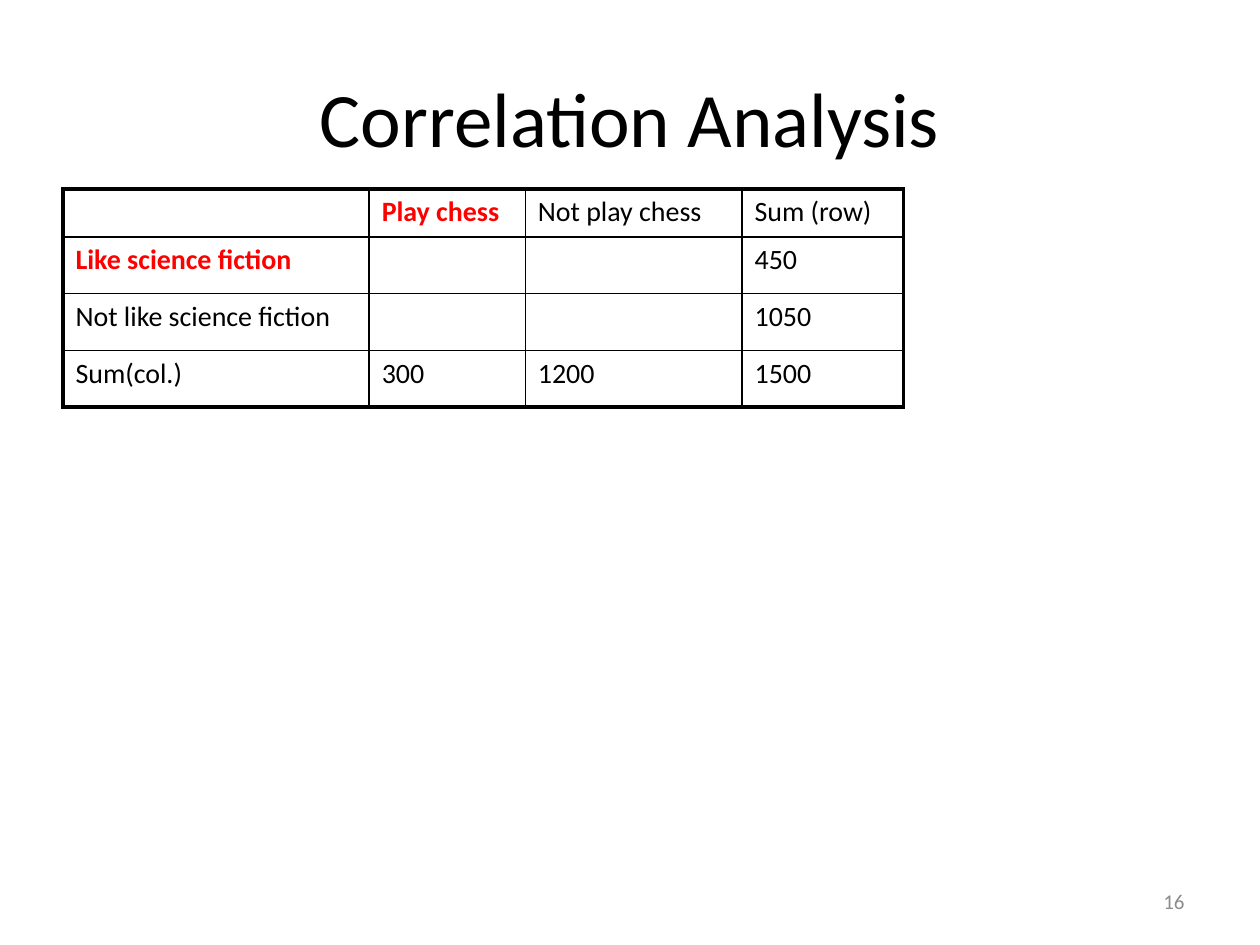
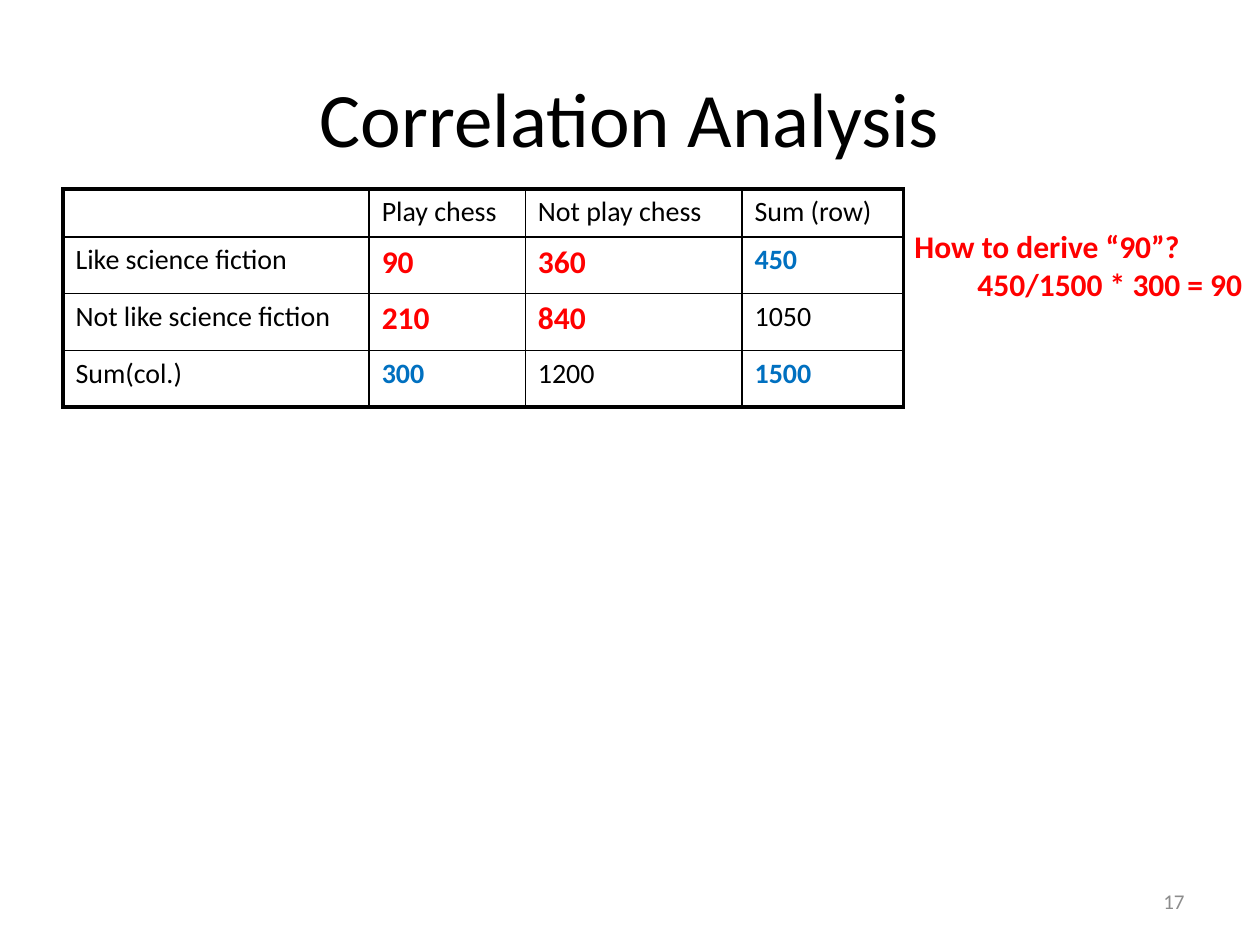
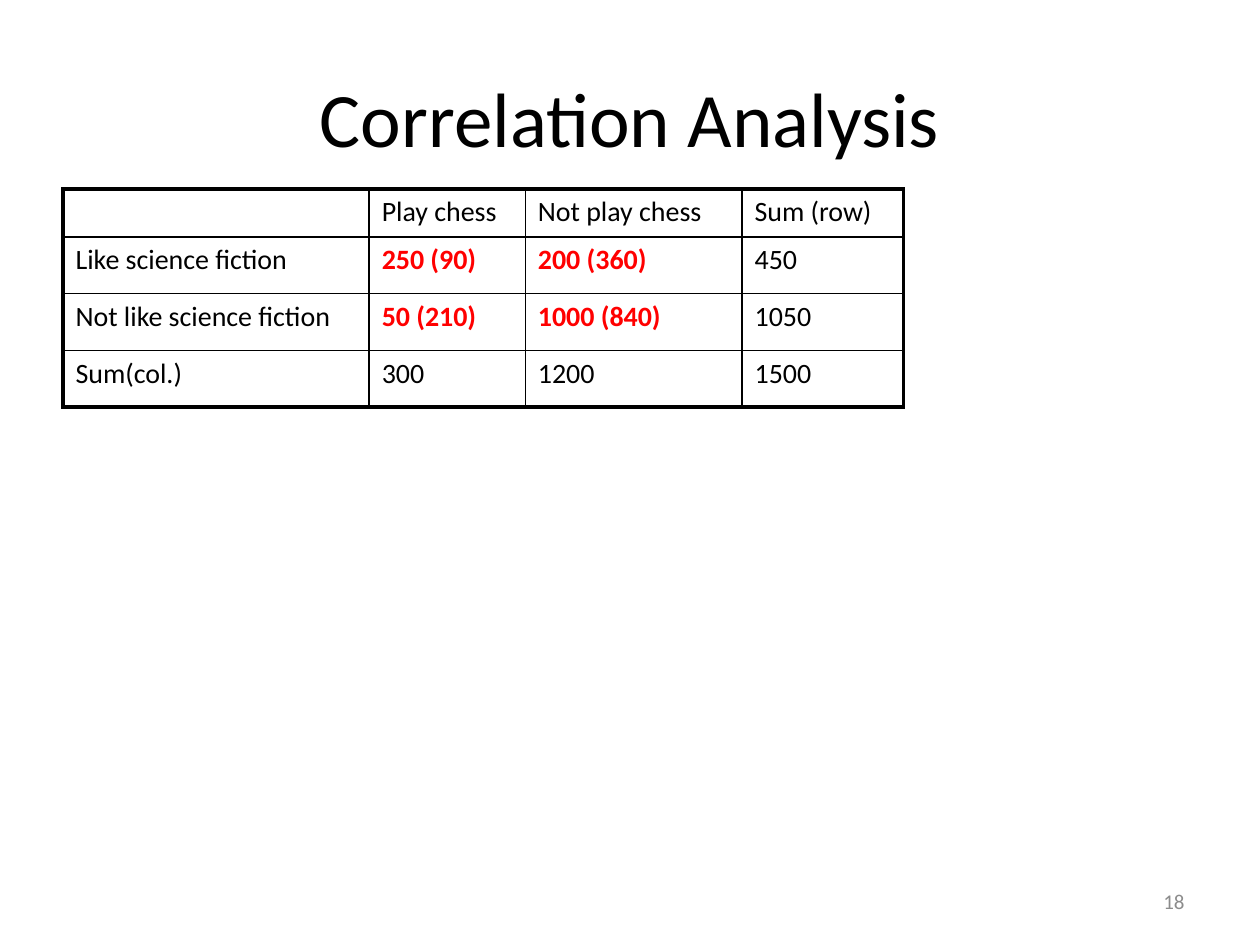
import pptx
import pptx.dml.color
import pptx.enum.text
import pptx.util
import lxml.etree
from pptx.util import Inches

BLACK, RED, BLUE, GREY = "000000", "FF0000", "0070C0", "8C8C8C"
ALIGN = pptx.enum.text.PP_ALIGN
MIDDLE = pptx.enum.text.MSO_ANCHOR.MIDDLE
NS = "http://schemas.openxmlformats.org/drawingml/2006/main"
WIDTHS = [2.43, 1.24, 1.72, 1.28]
HEIGHTS = [0.38, 0.45, 0.45, 0.45]


def color(code):
    return pptx.dml.color.RGBColor.from_string(code)


class Deck:
    font = "Calibri"
    thin, thick = 1, 2.25

    def __init__(self):
        self.prs = pptx.Presentation()
        self.prs.slide_width = Inches(10)
        self.prs.slide_height = Inches(7.5)
        self.slide = None

    def page(self, title, number):
        self.slide = self.prs.slides.add_slide(self.prs.slide_layouts[5])
        self.title(title)
        self.number(number)

    def run(self, para, text, size, code=BLACK, bold=False):
        run = para.add_run()
        run.text = text
        run.font.name = self.font
        run.font.size = pptx.util.Pt(size)
        run.font.bold = bold
        run.font.color.rgb = color(code)

    def title(self, text):
        shape = self.slide.shapes.title
        shape.left, shape.top = Inches(0.5), Inches(0.3)
        shape.width, shape.height = Inches(9), Inches(1.25)
        frame = shape.text_frame
        frame.vertical_anchor = MIDDLE
        para = frame.paragraphs[0]
        para.alignment = ALIGN.CENTER
        self.run(para, text, 44)

    def box(self, left, top, width, height):
        shape = self.slide.shapes.add_textbox(
            Inches(left), Inches(top), Inches(width), Inches(height))
        shape.text_frame.word_wrap = True
        return shape.text_frame

    def number(self, value):
        frame = self.box(7.17, 6.95, 2.33, 0.4)
        frame.vertical_anchor = MIDDLE
        para = frame.paragraphs[0]
        para.alignment = ALIGN.RIGHT
        self.run(para, str(value), 12, GREY)

    def note(self, head, detail):
        frame = self.box(7.16, 1.75, 2.84, 0.71)
        frame.auto_size = pptx.enum.text.MSO_AUTO_SIZE.SHAPE_TO_FIT_TEXT
        self.run(frame.paragraphs[0], head, 18, RED, True)
        para = frame.add_paragraph()
        para.level = 1
        props = para._p.get_or_add_pPr()
        props.set("marL", str(Inches(0.5)))
        props.set("indent", "0")
        self.run(para, detail, 18, RED, True)

    def border(self, cell, sides):
        props = cell._tc.get_or_add_tcPr()
        for side, outer in sides.items():
            width = pptx.util.Pt(self.thick if outer else self.thin)
            line = lxml.etree.SubElement(props, f"{{{NS}}}ln{side}", w=str(width))
            fill = lxml.etree.SubElement(line, f"{{{NS}}}solidFill")
            lxml.etree.SubElement(fill, f"{{{NS}}}srgbClr", val=BLACK)

    def table(self, inner, marks, size=16):
        """Draw the 2 x 2 counts with their sums; marks maps cells to colours."""
        (a, b), (c, d) = inner
        rows = [["", "Play chess", "Not play chess", "Sum (row)"],
                ["Like science fiction", a, b, "450"],
                ["Not like science fiction", c, d, "1050"],
                ["Sum(col.)", "300", "1200", "1500"]]
        grid = self.slide.shapes.add_table(
            len(HEIGHTS), len(WIDTHS), Inches(0.5), Inches(1.5),
            Inches(sum(WIDTHS)), Inches(sum(HEIGHTS))).table
        grid.first_row = grid.horz_banding = False
        for col, width in zip(grid.columns, WIDTHS):
            col.width = Inches(width)
        for row, height in zip(grid.rows, HEIGHTS):
            row.height = Inches(height)
        for i, row in enumerate(rows):
            for j, text in enumerate(row):
                cell = grid.cell(i, j)
                self.border(cell, {"L": j == 0, "R": j == len(WIDTHS) - 1,
                                   "T": i == 0, "B": i == len(HEIGHTS) - 1})
                cell.fill.background()
                if text:
                    pts = size if (i, j) in INNER else 16
                    self.run(cell.text_frame.paragraphs[0], text, pts,
                             marks.get((i, j), BLACK), (i, j) in marks)
                else:
                    cell.margin_top = cell.margin_bottom = 0


INNER = [(i, j) for i in (1, 2) for j in (1, 2)]
TITLE = "Correlation Analysis"
reds = dict.fromkeys(INNER, RED)
deck = Deck()

# Sums only
deck.page(TITLE, 16)
deck.table([["", ""], ["", ""]], {(0, 1): RED, (1, 0): RED})

# Expected counts
deck.page(TITLE, 17)
blues = dict.fromkeys([(1, 3), (3, 1), (3, 3)], BLUE)
deck.table([["90", "360"], ["210", "840"]], reds | blues, 18)
deck.note("How to derive “90”?", "450/1500 * 300 = 90")

# Observed and expected counts
deck.page(TITLE, 18)
deck.table([["250 (90)", "200 (360)"], ["50 (210)", "1000 (840)"]], reds)

deck.prs.save("out.pptx")
